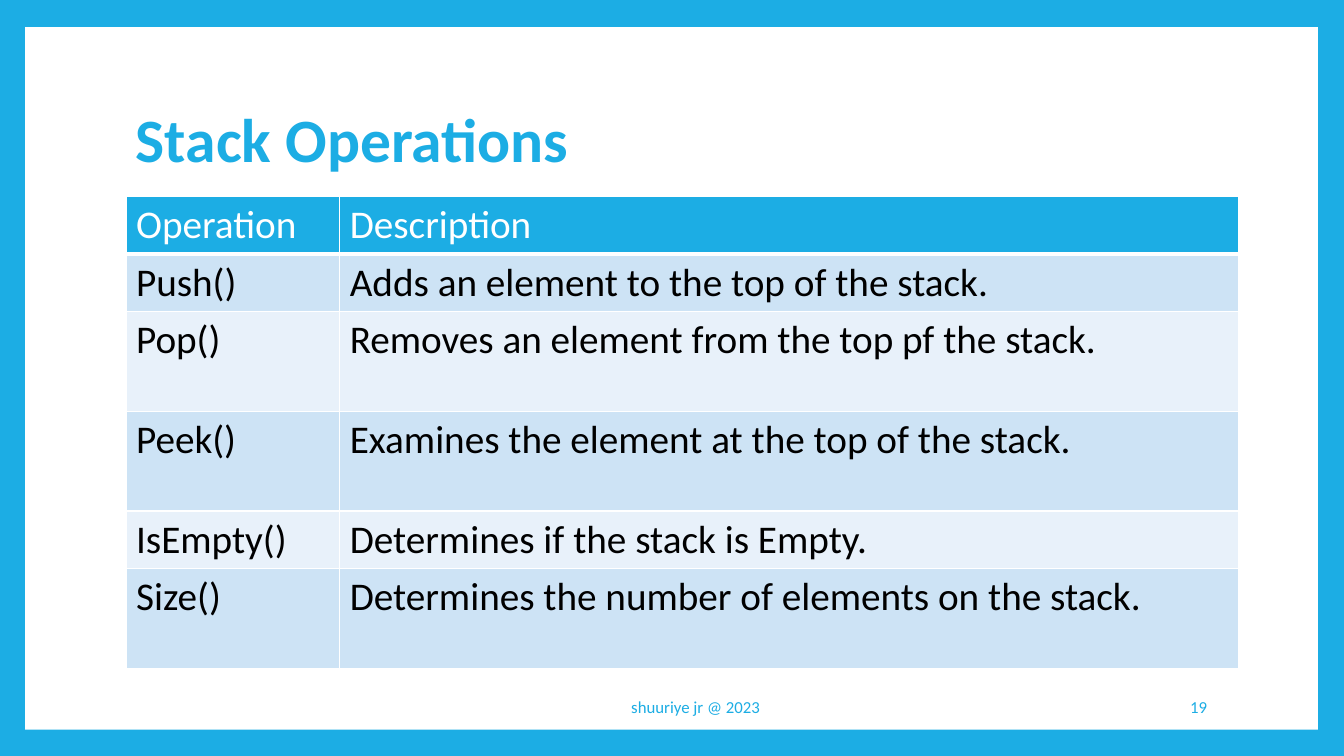
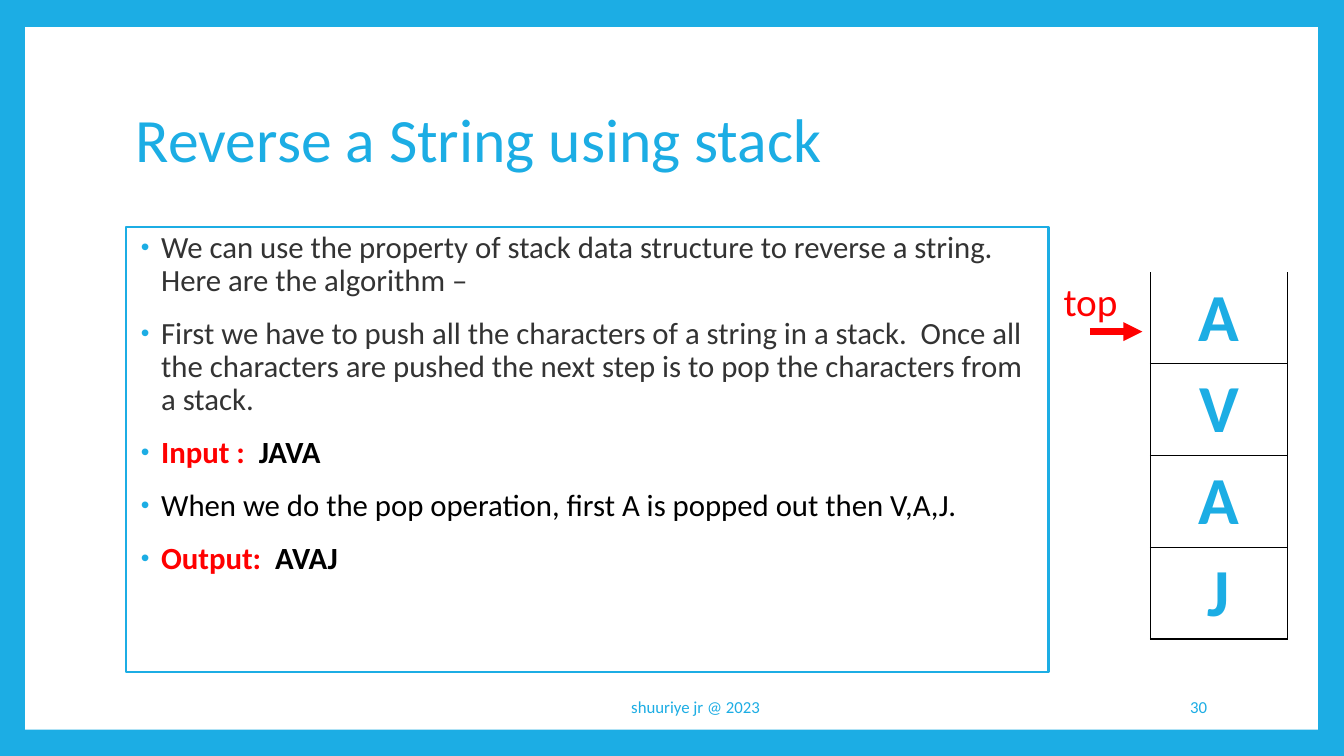
from dataclasses import dataclass

from lxml import etree
from pptx import Presentation
from pptx.dml.color import RGBColor
from pptx.enum import shapes, text
from pptx.oxml import ns
from pptx import util as u

PX = u.Inches(1) // 100  # one px is a hundredth of an inch
SLIDE_W, SLIDE_H = 1333, 750
LEFT = 125


@dataclass(frozen=True)
class Theme:
    font: str = "Calibri"
    accent: str = "1CADE4"
    paper: str = "FFFFFF"
    ink: str = "000000"
    soft_ink: str = "333333"
    alert: str = "FF0000"
    bands: tuple = ("CDE3F5", "E8F1FA")
    title: int = 44
    letter: int = 48
    table: int = 28
    body: int = 22
    footer: int = 12


def rgb(colour):
    return RGBColor.from_string(colour)


def child(parent, tag, **attributes):
    return etree.SubElement(parent, ns.qn(tag), **attributes)


class Deck:
    def __init__(self, theme):
        self.theme = theme
        self.prs = Presentation()
        self.prs.slide_width, self.prs.slide_height = SLIDE_W * PX, SLIDE_H * PX
        self.slide = None

    def new_slide(self, title, number, bold=False):
        """Start a slide with its border, title and footer."""
        t = self.theme
        self.slide = self.prs.slides.add_slide(self.prs.slide_layouts[6])
        background = self.slide.background.fill
        background.solid()
        background.fore_color.rgb = rgb(t.accent)
        self.panel(25, 27, 1282, 697)
        heading = self.label(title, LEFT, 67, 1080, 148, t.title, t.accent, bold=bold)
        heading.line_spacing = 0.9
        self.label("shuuriye jr @ 2023", 432, 681, 516, 40, t.footer, t.accent,
                   text.PP_ALIGN.CENTER)
        self.label(str(number), 1020, 681, 187, 40, t.footer, t.accent,
                   text.PP_ALIGN.RIGHT)

    def style(self, font, size, colour, bold=False):
        font.name, font.size, font.bold = self.theme.font, u.Pt(size), bold
        font.color.rgb = rgb(colour)

    def panel(self, x, y, w, h, outline=None):
        panel = self.slide.shapes.add_shape(
            shapes.MSO_SHAPE.RECTANGLE, x * PX, y * PX, w * PX, h * PX)
        panel.shadow.inherit = False
        panel.fill.solid()
        panel.fill.fore_color.rgb = rgb(self.theme.paper)
        if outline:
            panel.line.color.rgb = rgb(outline)
            panel.line.width = u.Pt(1.5)
        else:
            panel.line.fill.background()
        return panel

    def label(self, words, x, y, w, h, size, colour, align=text.PP_ALIGN.LEFT,
              bold=False, anchor=text.MSO_ANCHOR.MIDDLE):
        frame = self.slide.shapes.add_textbox(x * PX, y * PX, w * PX, h * PX).text_frame
        frame.word_wrap = True
        frame.vertical_anchor = anchor
        paragraph = frame.paragraphs[0]
        paragraph.text, paragraph.alignment = words, align
        self.style(paragraph.font, size, colour, bold)
        return paragraph

    def bullets(self, items, x, y, w, h):
        """Outlined box; each item is a list of (words, colour, bold) runs."""
        t = self.theme
        frame = self.panel(x, y, w, h, t.accent).text_frame
        frame.word_wrap = True
        frame.vertical_anchor = text.MSO_ANCHOR.TOP
        for index, runs in enumerate(items):
            paragraph = frame.add_paragraph() if index else frame.paragraphs[0]
            paragraph.alignment = text.PP_ALIGN.LEFT
            paragraph.line_spacing = 0.9
            if index:
                paragraph.space_before = u.Pt(14)
            props = paragraph._p.get_or_add_pPr()
            props.set("marL", str(25 * PX))
            props.set("indent", str(-20 * PX))
            child(child(props, "a:buClr"), "a:srgbClr", val=t.accent)
            child(props, "a:buSzPct", val="80000")
            child(props, "a:buFont", typeface="Arial")
            child(props, "a:buChar", char="•")
            for words, colour, bold in runs:
                run = paragraph.add_run()
                run.text = words
                self.style(run.font, t.body, colour, bold)

    def grid(self, x, y, widths, heights):
        """Plain table without the banding of the default style."""
        table = self.slide.shapes.add_table(
            len(heights), len(widths), x * PX, y * PX,
            sum(widths) * PX, sum(heights) * PX).table
        table.first_row = table.horz_banding = False
        for column, width in zip(table.columns, widths):
            column.width = width * PX
        for row, height in zip(table.rows, heights):
            row.height = height * PX
        return table

    def cell(self, cell, words, size, colour, fill=None, align=text.PP_ALIGN.LEFT,
             bold=False, border="FFFFFF", top=1, bottom=1):
        """Fill one cell; a border width of 0 leaves that edge open."""
        for edge, width in (("L", 1), ("R", 1), ("T", top), ("B", bottom)):
            line = child(cell._tc.get_or_add_tcPr(), f"a:ln{edge}",
                         w=str(u.Pt(width)))
            if width:
                child(child(line, "a:solidFill"), "a:srgbClr", val=border)
            else:
                child(line, "a:noFill")
        if fill:
            cell.fill.solid()
            cell.fill.fore_color.rgb = rgb(fill)
        else:
            cell.fill.background()
        paragraph = cell.text_frame.paragraphs[0]
        paragraph.text, paragraph.alignment = words, align
        self.style(paragraph.font, size, colour, bold)

    def arrow(self, x1, y1, x2, y2, colour, width):
        arrow = self.slide.shapes.add_connector(
            shapes.MSO_CONNECTOR.STRAIGHT, x1 * PX, y1 * PX, x2 * PX, y2 * PX)
        arrow.line.color.rgb = rgb(colour)
        arrow.line.width = u.Pt(width)
        child(arrow.line._get_or_add_ln(), "a:tailEnd", type="triangle")
        child(arrow._element.spPr, "a:effectLst")


def operations_slide(deck):
    t = deck.theme
    deck.new_slide("Stack Operations", 19, bold=True)
    operations = [
        ("Operation", "Description"),
        ("Push()", "Adds an element to the top of the stack."),
        ("Pop()", "Removes an element from the top pf the stack."),
        ("Peek()", "Examines the element at the top of the stack."),
        ("IsEmpty()", "Determines if the stack is Empty."),
        ("Size()", "Determines the number of elements on the stack."),
    ]
    low, high = 57, 99
    table = deck.grid(LEFT, 195, [212, 892], [low, low, high, high, low, high])
    for r, row in enumerate(operations):
        for c, words in enumerate(row):
            if r == 0:
                deck.cell(table.cell(r, c), words, t.table, t.paper, t.accent, bottom=3)
            else:
                deck.cell(table.cell(r, c), words, t.table, t.ink,
                          t.bands[(r - 1) % 2], top=3 if r == 1 else 1)


def reverse_slide(deck):
    t = deck.theme
    deck.new_slide("Reverse a String using stack", 30)

    # Algorithm
    deck.bullets([
        [("We can use the property of stack data structure to reverse a string. "
          "Here are the algorithm –", t.soft_ink, False)],
        [("First we have to push all the characters of a string in a stack.  Once all "
          "the characters are pushed the next step is to pop the characters from "
          "a stack.", t.soft_ink, False)],
        [("Input :  ", t.alert, True), ("JAVA", t.ink, True)],
        [("When we do the pop operation, first A is popped out then V,A,J.",
          t.ink, False)],
        [("Output:  ", t.alert, True), ("AVAJ", t.ink, True)],
    ], LEFT, 225, 915, 442)

    # Stack, open at the top
    letters = "AVAJ"
    stack = deck.grid(1141, 270, [136], [91] * len(letters))
    for r, letter in enumerate(letters):
        deck.cell(stack.cell(r, 0), letter, t.letter, t.accent,
                  align=text.PP_ALIGN.CENTER, bold=True, border=t.ink,
                  top=1 if r else 0)

    # Pointer to the top element
    deck.label("top", 1045, 270, 97, 57, t.table, t.alert, anchor=text.MSO_ANCHOR.TOP)
    deck.arrow(1081, 329, 1133, 329, t.alert, 4.5)


def main():
    deck = Deck(Theme())
    operations_slide(deck)
    reverse_slide(deck)
    deck.prs.save("out.pptx")


if __name__ == "__main__":
    main()
